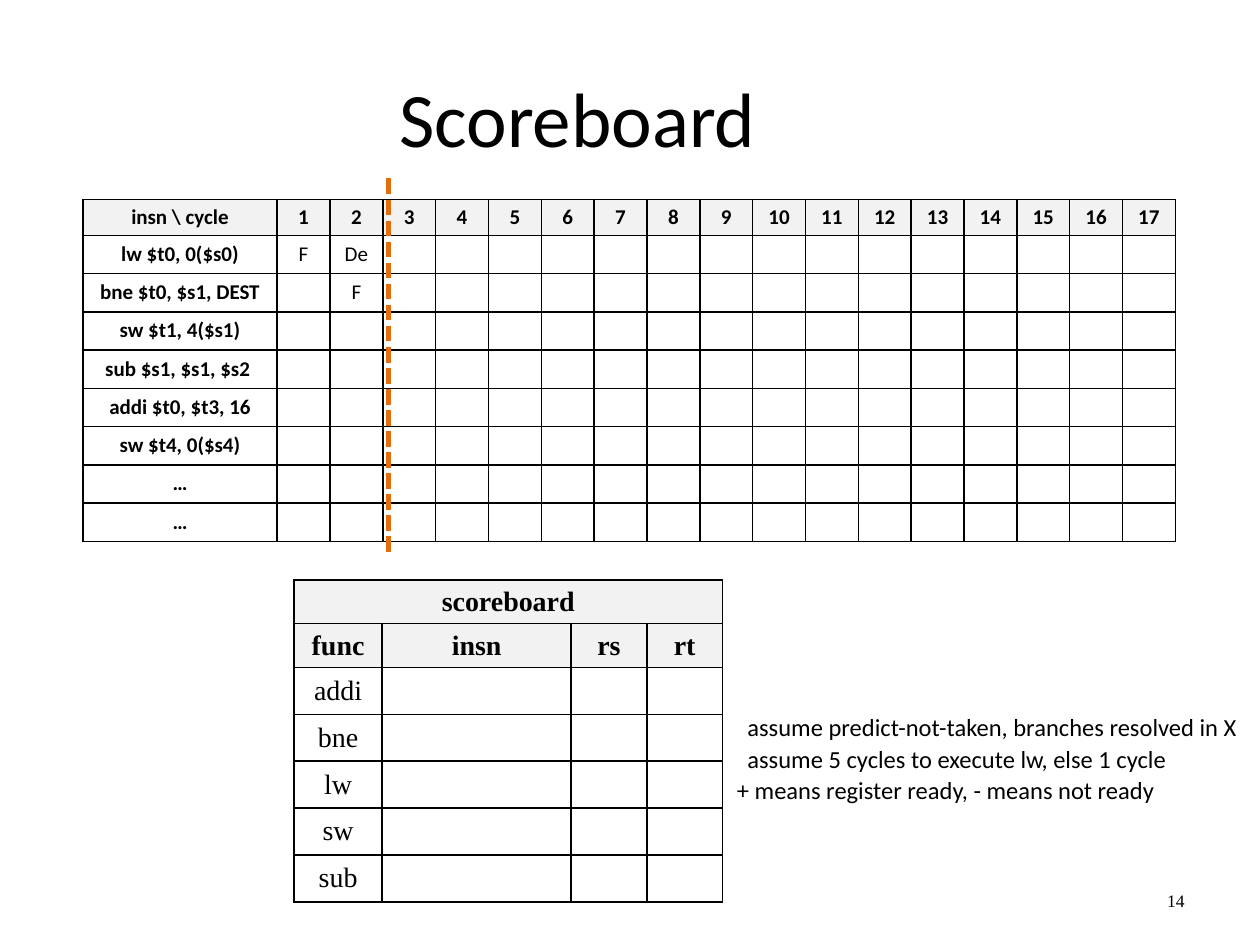
from dataclasses import dataclass

from lxml import etree
from pptx import Presentation
from pptx.dml.color import RGBColor
from pptx.enum.dml import MSO_LINE
from pptx.enum.shapes import MSO_CONNECTOR
from pptx.enum.text import MSO_ANCHOR, PP_ALIGN
from pptx.oxml.ns import qn
from pptx.util import Pt

LEFT, CENTER, RIGHT = PP_ALIGN.LEFT, PP_ALIGN.CENTER, PP_ALIGN.RIGHT
MIDDLE = MSO_ANCHOR.MIDDLE
STRAIGHT = MSO_CONNECTOR.STRAIGHT
DASH = MSO_LINE.SQUARE_DOT

BLACK = RGBColor(0x00, 0x00, 0x00)
WHITE = RGBColor(0xFF, 0xFF, 0xFF)
HEADER_GRAY = RGBColor(0xF2, 0xF2, 0xF2)
ORANGE = RGBColor(0xE4, 0x6C, 0x0A)

SANS, SERIF = "Calibri", "Times New Roman"


@dataclass
class Label:
    text: str
    left: float
    top: float
    width: float
    height: float
    size: float = 14
    font: str = SANS
    align: PP_ALIGN = LEFT


@dataclass
class Grid:
    left: float
    top: float
    col_widths: list[float]
    row_heights: list[float]
    rows: list[list[str]]
    header_rows: int
    size: float
    font: str
    bold_first_col: bool = False
    line_spacing: float = 1.0


LABELS = [
    Label("Scoreboard", 36, 21.6, 588, 90, 44, align=CENTER),
    Label("14", 600, 500.4, 84, 28.8, 10, SERIF, RIGHT),
    Label("assume predict-not-taken, branches resolved in X", 420, 397.5, 300, 36),
    Label("+ means register ready, - means not ready", 414, 433.5, 276, 36),
    Label("assume 5 cycles to execute lw, else 1 cycle", 420, 415.5, 276, 36),
]

CYCLES = 17
PIPELINE = Grid(
    left=47.4, top=114,
    col_widths=[111] + [30.2] * CYCLES,
    row_heights=[20.5] + [21.8] * 8,
    rows=[
        ["insn \\ cycle"] + [str(n) for n in range(1, CYCLES + 1)],
        ["lw $t0, 0($s0)", "F", "De"],
        ["bne $t0, $s1, DEST", "", "F"],
        ["sw $t1, 4($s1)"],
        ["sub $s1, $s1, $s2 "],
        ["addi $t0, $t3, 16"],
        ["sw $t4, 0($s4)"],
        ["…"],
        ["…"],
    ],
    header_rows=1, size=12, font=SANS, bold_first_col=True, line_spacing=0.9,
)
SCOREBOARD = Grid(
    left=168, top=331.4,
    col_widths=[50.4, 108, 43.2, 43.2],
    row_heights=[25] * 7,
    rows=[["scoreboard"], ["func", "insn", "rs", "rt"],
          ["addi"], ["bne"], ["lw"], ["sw"], ["sub"]],
    header_rows=2, size=16, font=SERIF,
)


def set_format(target, values: dict) -> None:
    for name, value in values.items():
        setattr(target, name, value)


def add_label(slide, label: Label) -> None:
    box = slide.shapes.add_textbox(
        Pt(label.left), Pt(label.top), Pt(label.width), Pt(label.height))
    tf = box.text_frame
    set_format(tf, {"word_wrap": True, "vertical_anchor": MIDDLE})
    p = tf.paragraphs[0]
    p.alignment = label.align
    r = p.add_run()
    r.text = label.text
    set_format(r.font, {"size": Pt(label.size), "name": label.font})
    r.font.color.rgb = BLACK


def add_borders(cell) -> None:
    tc_pr = cell._tc.get_or_add_tcPr()
    for side in ("a:lnL", "a:lnR", "a:lnT", "a:lnB"):
        ln = etree.SubElement(tc_pr, qn(side), w=str(Pt(1)))
        fill = etree.SubElement(ln, qn("a:solidFill"))
        etree.SubElement(fill, qn("a:srgbClr"), val=str(BLACK))


def fill_cell(cell, text: str, grid: Grid, header: bool, bold: bool) -> None:
    add_borders(cell)
    cell.fill.solid()
    cell.fill.fore_color.rgb = HEADER_GRAY if header else WHITE
    cell.vertical_anchor = MIDDLE
    p = cell.text_frame.paragraphs[0]
    set_format(p, {"alignment": CENTER, "line_spacing": grid.line_spacing})
    if text:
        r = p.add_run()
        r.text = text
        set_format(r.font, {"size": Pt(grid.size), "name": grid.font, "bold": bold})
        r.font.color.rgb = BLACK
    else:
        # Keeps an empty cell from growing to the default text size
        etree.SubElement(p._p, qn("a:endParaRPr"), sz=str(int(grid.size * 100)))


def add_grid(slide, grid: Grid):
    widths, heights = grid.col_widths, grid.row_heights
    table = slide.shapes.add_table(
        len(heights), len(widths), Pt(grid.left), Pt(grid.top),
        Pt(sum(widths)), Pt(sum(heights))).table
    set_format(table, {"first_row": False, "horz_banding": False})
    for col, width in zip(table.columns, widths):
        col.width = Pt(width)
    for i, (row, height) in enumerate(zip(table.rows, heights)):
        row.height = Pt(height)
        header = i < grid.header_rows
        texts = grid.rows[i] + [""] * (len(widths) - len(grid.rows[i]))
        for j, text in enumerate(texts):
            bold = header or (grid.bold_first_col and j == 0)
            fill_cell(table.cell(i, j), text, grid, header, bold)
    return table


def add_cycle_marker(slide, x: float, top: float, bottom: float) -> None:
    line = slide.shapes.add_connector(STRAIGHT, Pt(x), Pt(top), Pt(x), Pt(bottom))
    set_format(line.line, {"width": Pt(3), "dash_style": DASH})
    line.line.color.rgb = ORANGE
    etree.SubElement(line._element.spPr, qn("a:effectLst"))


def main() -> None:
    prs = Presentation()
    set_format(prs, {"slide_width": Pt(720), "slide_height": Pt(540)})
    slide = prs.slides.add_slide(prs.slide_layouts[6])
    add_grid(slide, PIPELINE)
    add_cycle_marker(slide, 222, 102, 318)
    scoreboard = add_grid(slide, SCOREBOARD)
    scoreboard.cell(0, 0).merge(scoreboard.cell(0, 3))
    for label in LABELS:
        add_label(slide, label)
    prs.save("out.pptx")


if __name__ == "__main__":
    main()
